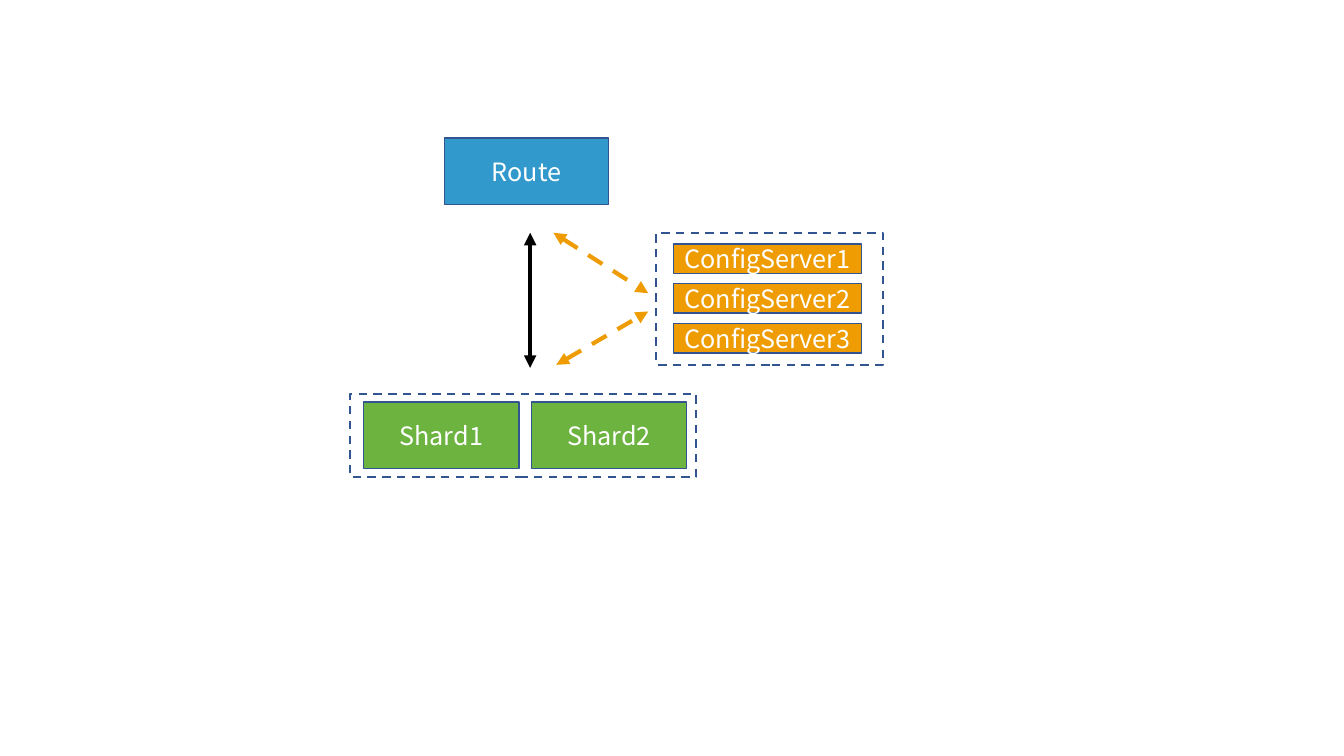
"""Builds a slide showing a router, its config servers and its shards."""
from dataclasses import dataclass

from pptx import Presentation
from pptx import util as u
from pptx.dml.color import RGBColor
from pptx.enum import dml, shapes, text
from pptx.oxml import ns
from lxml import etree


@dataclass(frozen=True)
class Theme:
    """Colours, type and line widths of the slide."""
    route: str = "3299CC"
    config: str = "EE9C02"
    shard: str = "6CB340"
    outline: str = "325491"
    label: str = "FFFFFF"
    data_flow: str = "000000"
    font: str = "Noto Sans CJK SC"
    label_size: float = 18
    node_line: float = 1
    frame_line: float = 1.5
    arrow_line: float = 3


@dataclass(frozen=True)
class Box:
    """A rectangle measured in points."""
    left: float
    top: float
    width: float
    height: float


THEME = Theme()


def style_line(line, color, width, dashed=False):
    """Set the colour, width and dash of a line."""
    line.color.rgb = RGBColor.from_string(color)
    line.width = u.Pt(width)
    if dashed:
        line.dash_style = dml.MSO_LINE.DASH


def add_rectangle(page, box):
    """Add a rectangle without a shadow."""
    rectangle = page.shapes.add_shape(
        shapes.MSO_SHAPE.RECTANGLE,
        u.Pt(box.left), u.Pt(box.top), u.Pt(box.width), u.Pt(box.height))
    rectangle.shadow.inherit = False
    return rectangle


def add_node(page, box, label, color):
    """Add a filled rectangle with a centred label."""
    node = add_rectangle(page, box)
    node.fill.solid()
    node.fill.fore_color.rgb = RGBColor.from_string(color)
    style_line(node.line, THEME.outline, THEME.node_line)
    frame = node.text_frame
    frame.word_wrap = True
    frame.vertical_anchor = text.MSO_ANCHOR.MIDDLE
    frame.margin_left = frame.margin_right = 0
    frame.margin_top = frame.margin_bottom = 0
    para = frame.paragraphs[0]
    para.alignment = text.PP_ALIGN.CENTER
    span = para.add_run()
    span.text = label
    span.font.name = THEME.font
    span.font.size = u.Pt(THEME.label_size)
    span.font.color.rgb = RGBColor.from_string(THEME.label)


def add_frame(page, box):
    """Add a dashed, unfilled frame around a group."""
    frame = add_rectangle(page, box)
    frame.fill.background()
    style_line(frame.line, THEME.outline, THEME.frame_line, dashed=True)


def add_arrow(page, start, end, color, dashed=False):
    """Add a straight arrow with a head at both ends."""
    arrow = page.shapes.add_connector(
        shapes.MSO_CONNECTOR.STRAIGHT, *(u.Pt(value) for value in start + end))
    style_line(arrow.line, color, THEME.arrow_line, dashed)
    for tag in ("a:headEnd", "a:tailEnd"):
        etree.SubElement(arrow.line._get_or_add_ln(), ns.qn(tag), type="triangle")
    etree.SubElement(arrow._element.spPr, ns.qn("a:effectLst"))


def add_config_servers(page, box):
    """Stack three config servers inside a dashed frame."""
    add_frame(page, box)
    pitch = 28.4
    for index in range(3):
        bar = Box(box.left + 12.3, box.top + 8 + index * pitch, 134.6, 21)
        add_node(page, bar, f"ConfigServer{index + 1}", THEME.config)


def add_shards(page, box):
    """Place two shards side by side inside a dashed frame."""
    add_frame(page, box)
    pitch = 119.7
    for index in range(2):
        shard = Box(box.left + 10, box.top + 5.8, 110.9, 47.5)
        shard = Box(shard.left + index * pitch, shard.top, shard.width, shard.height)
        add_node(page, shard, f"Shard{index + 1}", THEME.shard)


def add_flows(page, box):
    """Link route, shards and config servers with arrows in the box."""
    right, bottom = box.left + box.width, box.top + box.height
    add_arrow(page, (box.left, box.top), (box.left, bottom), THEME.data_flow)
    add_arrow(page, (box.left + 16.6, box.top), (right, box.top + 43.2),
              THEME.config, dashed=True)
    add_arrow(page, (box.left + 18.7, bottom - 2.2), (right, box.top + 56.2),
              THEME.config, dashed=True)


def main():
    """Build and save the deck."""
    deck = Presentation()
    deck.slide_width, deck.slide_height = u.Pt(960), u.Pt(540)
    page = deck.slides.add_slide(deck.slide_layouts[6])
    add_node(page, Box(317.5, 98.6, 117.4, 47.5), "Route", THEME.route)
    add_flows(page, Box(378.7, 166.3, 84.3, 96.5))
    add_config_servers(page, Box(468.7, 166.3, 162, 94.3))
    add_shards(page, Box(249.8, 281.5, 247.7, 59))
    deck.save("out.pptx")


main()
